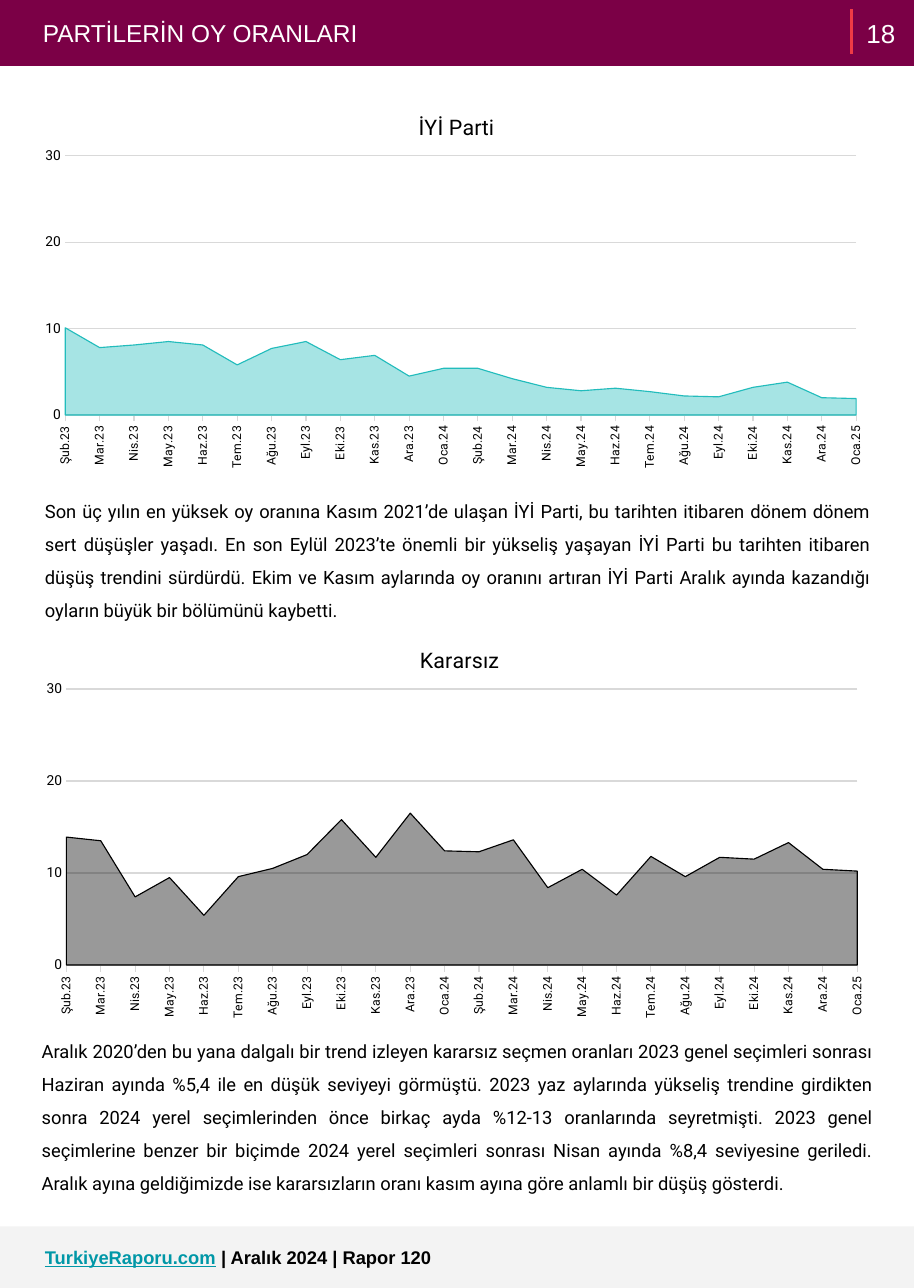
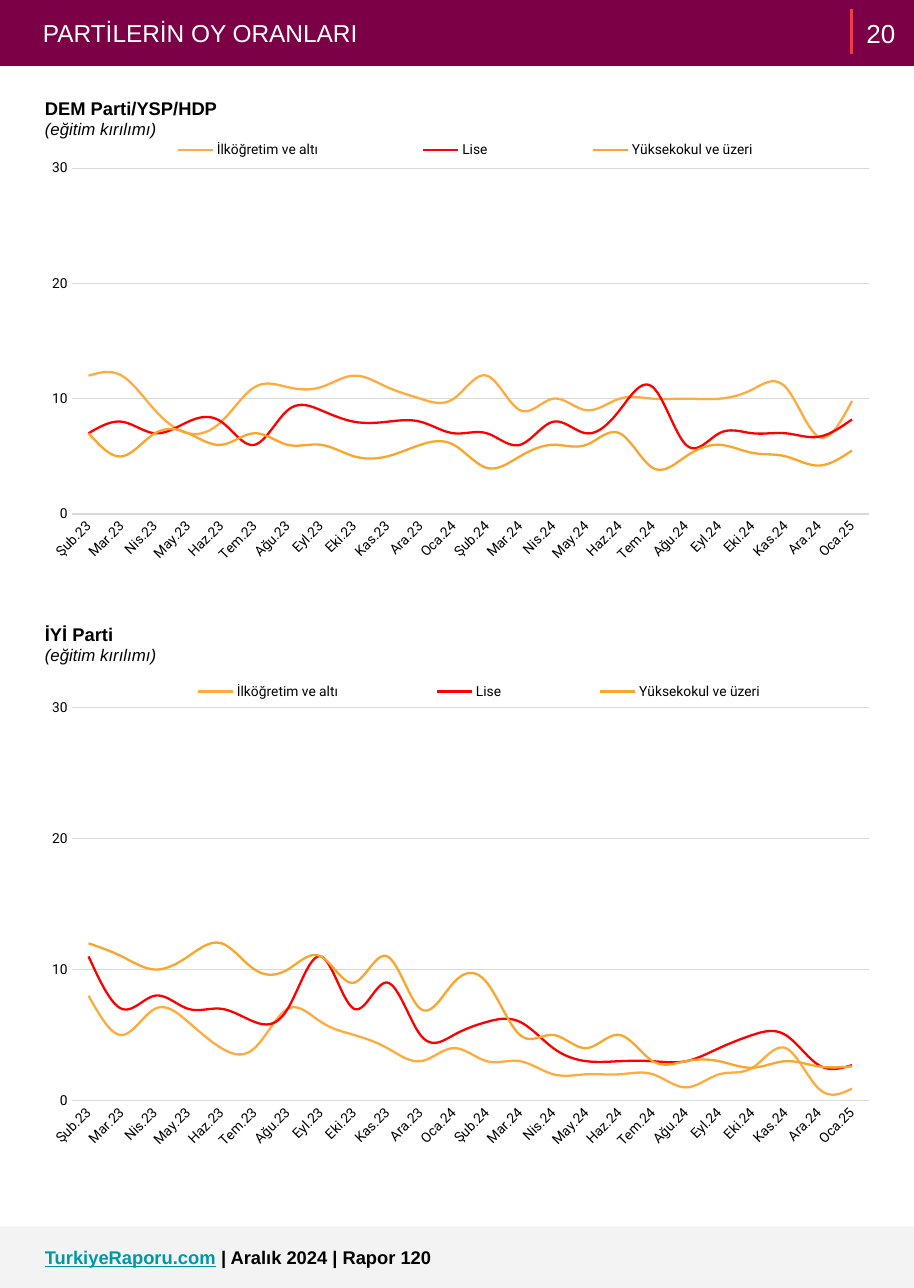
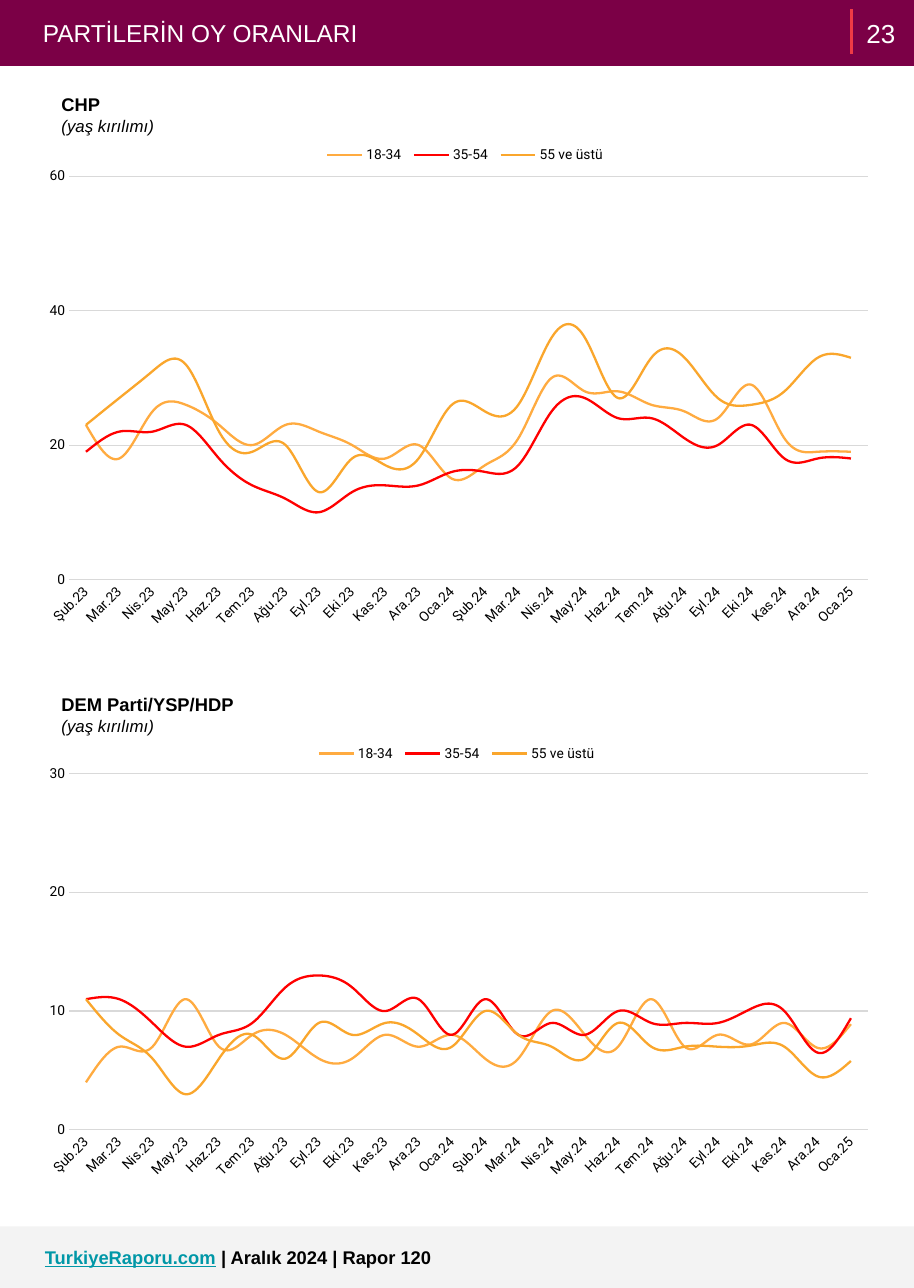
"""Build three report pages of party vote shares with area and line charts."""
from dataclasses import dataclass

import pptx
import pptx.chart.data
import pptx.dml.color
import pptx.enum.chart
import pptx.enum.shapes
import pptx.enum.text
import pptx.oxml
import pptx.oxml.ns
import pptx.util

Inches = pptx.util.Inches
Align = pptx.enum.text.PP_ALIGN
Anchor = pptx.enum.text.MSO_ANCHOR
ChartType = pptx.enum.chart.XL_CHART_TYPE
qn = pptx.oxml.ns.qn

PAGE_WIDTH, PAGE_HEIGHT = 8.3, 11.7
MONTHS = "Oca Şub Mar Nis May Haz Tem Ağu Eyl Eki Kas Ara".split()
CATEGORIES = [f"{MONTHS[month % 12]}.{23 + month // 12}" for month in range(1, 25)]
EDUCATION = ("İlköğretim ve altı", "Lise", "Yüksekokul ve üzeri")
AGES = ("18-34", "35-54", "55 ve üstü")


@dataclass(frozen=True)
class Theme:
    band: str = "7B0046"
    footer: str = "F3F3F3"
    accent: str = "EF3B45"
    link: str = "0097A7"
    text: str = "000000"
    light: str = "FFFFFF"
    grid: str = "D9D9D9"
    teal: str = "22BCBC"
    lines: tuple = ("FFAB40", "FF0000", "FAA62C")
    heading_font: str = "Arial"
    body_font: str = "Roboto"
    title_size: int = 16
    number_size: int = 17
    body_size: int = 12
    note_size: int = 11
    chart_title_size: int = 14
    chart_size: int = 10
    label_size: int = 9
    small_label_size: int = 8
    hairline: float = 0.75
    series_line: float = 1.5
    divider: float = 2.25


THEME = Theme()


def rgb(color):
    return pptx.dml.color.RGBColor.from_string(color)


def format_font(font, size=THEME.body_size, color=THEME.text, name=THEME.heading_font,
                bold=False, italic=False, underline=False):
    font.size = pptx.util.Pt(size)
    font.color.rgb = rgb(color)
    font.name = name
    font.bold, font.italic, font.underline = bold, italic, underline


def write(paragraph, text, **text_format):
    run = paragraph.add_run()
    run.text = text
    format_font(run.font, **text_format)


def format_line(line, color, width):
    line.color.rgb = rgb(color)
    line.width = pptx.util.Pt(width)


def set_layout(parent, after=None, inner=False, **fractions):
    """Give a chart part a manual layout in fractions of the chart."""
    for old_layout in parent.findall(qn("c:layout")):
        parent.remove(old_layout)
    values = {"layoutTarget": "inner"} if inner else {}
    values |= {"xMode": "edge", "yMode": "edge"} | fractions
    items = "".join(f'<c:{tag} val="{value}"/>' for tag, value in values.items())
    layout = pptx.oxml.parse_xml(
        f'<c:layout {pptx.oxml.ns.nsdecls("c")}><c:manualLayout>{items}'
        "</c:manualLayout></c:layout>")
    index = parent.index(parent.find(qn(after))) + 1 if after else 0
    parent.insert(index, layout)


class Report:
    """Holds the presentation, its theme and the current slide."""

    def __init__(self, theme):
        self.theme = theme
        self.presentation = pptx.Presentation()
        self.presentation.slide_width = Inches(PAGE_WIDTH)
        self.presentation.slide_height = Inches(PAGE_HEIGHT)
        self.slide = None

    def add_page(self, title, number):
        theme = self.theme
        self.slide = self.presentation.slides.add_slide(self.presentation.slide_layouts[5])
        self.add_band(11.14, PAGE_HEIGHT - 11.14, theme.footer)
        footer = self.add_text(0.31, 11.22, 6.96, 0.4).paragraphs[0]
        write(footer, "TurkiyeRaporu.com", color=theme.link, bold=True, underline=True)
        write(footer, " ", color=theme.accent, bold=True)
        write(footer, "| Aralık 2024 | Rapor 120", bold=True)
        self.add_band(0, 0.6, theme.band)
        self.add_divider(7.73, 0.08, 0.49)
        self.add_title(title)
        frame = self.add_text(7.73, 0, 0.54, 0.6)
        frame.vertical_anchor = Anchor.MIDDLE
        frame.paragraphs[0].alignment = Align.CENTER
        write(frame.paragraphs[0], str(number), size=theme.number_size, color=theme.light)

    def add_band(self, top, height, color):
        shape = self.slide.shapes.add_shape(
            pptx.enum.shapes.MSO_SHAPE.RECTANGLE,
            0, Inches(top), Inches(PAGE_WIDTH), Inches(height))
        shape.shadow.inherit = False
        shape.fill.solid()
        shape.fill.fore_color.rgb = rgb(color)
        shape.line.fill.background()

    def add_divider(self, left, top, bottom):
        connector = self.slide.shapes.add_connector(
            pptx.enum.shapes.MSO_CONNECTOR.STRAIGHT,
            Inches(left), Inches(top), Inches(left), Inches(bottom))
        format_line(connector.line, self.theme.accent, self.theme.divider)
        properties = connector.element.find(qn("p:spPr"))
        properties.append(pptx.oxml.parse_xml(
            f'<a:effectLst {pptx.oxml.ns.nsdecls("a")}/>'))

    def set_frame(self, frame):
        frame.word_wrap = True
        frame.auto_size = pptx.enum.text.MSO_AUTO_SIZE.NONE
        frame.vertical_anchor = Anchor.TOP
        frame.margin_left = frame.margin_right = Inches(0.1)
        frame.margin_top = frame.margin_bottom = Inches(0.1)
        return frame

    def add_title(self, text):
        title = self.slide.shapes.title
        title.left, title.top = Inches(0.29), Inches(0.06)
        title.width, title.height = Inches(6.45), Inches(0.47)
        title.element.getparent().append(title.element)
        paragraph = self.set_frame(title.text_frame).paragraphs[0]
        paragraph.alignment = Align.LEFT
        write(paragraph, text, size=self.theme.title_size, color=self.theme.light)

    def add_text(self, left, top, width, height):
        box = self.slide.shapes.add_textbox(
            Inches(left), Inches(top), Inches(width), Inches(height))
        return self.set_frame(box.text_frame)

    def add_body(self, left, top, width, height, text):
        paragraph = self.add_text(left, top, width, height).paragraphs[0]
        paragraph.alignment = Align.JUSTIFY
        paragraph.line_spacing = 1.5
        write(paragraph, text, name=self.theme.body_font)

    def add_heading(self, left, top, party, breakdown):
        frame = self.add_text(left, top, 1.97, 0.42)
        write(frame.paragraphs[0], party, bold=True)
        write(frame.add_paragraph(), breakdown, size=self.theme.note_size, italic=True)

    def add_chart(self, chart_type, box, plot, series, maximum, rotation, category_size):
        theme = self.theme
        data = pptx.chart.data.CategoryChartData()
        data.categories = CATEGORIES
        for name, values in series:
            data.add_series(name, values)
        chart = self.slide.shapes.add_chart(
            chart_type, *(Inches(length) for length in box), data).chart
        format_font(chart.font, size=theme.chart_size, name=theme.body_font)
        chart.has_title = chart.has_legend = False
        chart.plots[0].vary_by_categories = False

        tick = pptx.enum.chart.XL_TICK_MARK
        value_axis, category_axis = chart.value_axis, chart.category_axis
        value_axis.minimum_scale, value_axis.maximum_scale = 0, maximum
        value_axis.major_unit = maximum / 3
        value_axis.has_major_gridlines = True
        format_line(value_axis.major_gridlines.format.line, theme.grid, theme.hairline)
        value_axis.format.line.fill.background()
        format_line(category_axis.format.line, theme.grid, theme.hairline)
        is_area = chart_type == ChartType.AREA
        category_axis.major_tick_mark = tick.OUTSIDE if is_area else tick.NONE
        value_axis.major_tick_mark = tick.NONE
        for axis, size in ((value_axis, theme.label_size), (category_axis, category_size)):
            axis.minor_tick_mark = tick.NONE
            format_font(axis.tick_labels.font, size=size, name=theme.body_font)
        for body in chart.element.xpath(".//c:catAx/c:txPr/a:bodyPr"):
            body.set("rot", str(rotation * 60000))
            body.set("vert", "horz")
        for crossing in chart.element.xpath(".//c:valAx/c:crossBetween"):
            crossing.set("val", "midCat" if is_area else "between")
        set_layout(chart.element.xpath(".//c:plotArea")[0], inner=True,
                   **dict(zip("xywh", plot)))
        return chart

    def add_area_chart(self, box, plot, title, color, values):
        theme = self.theme
        chart = self.add_chart(ChartType.AREA, box, plot, [("Series 1", values)],
                               30, -90, theme.small_label_size)
        write(chart.chart_title.text_frame.paragraphs[0], title,
              size=theme.chart_title_size, name=theme.body_font)
        set_layout(chart.element.xpath(".//c:chart/c:title")[0], after="c:tx",
                   x=0.453, y=round(0.2 / box[3], 3))
        area = chart.plots[0].series[0]
        area.format.fill.solid()
        area.format.fill.fore_color.rgb = rgb(color)
        format_line(area.format.line, color, theme.hairline)
        fill_color = chart.element.xpath(".//c:ser/c:spPr/a:solidFill/a:srgbClr")[0]
        fill_color.append(pptx.oxml.parse_xml(
            f'<a:alpha {pptx.oxml.ns.nsdecls("a")} val="40000"/>'))

    def add_line_chart(self, box, plot, legend, names, rows, maximum=30):
        theme = self.theme
        chart = self.add_chart(ChartType.LINE, box, plot, zip(names, rows),
                               maximum, -45, theme.label_size)
        for series, color in zip(chart.plots[0].series, theme.lines):
            series.smooth = True
            format_line(series.format.line, color, theme.series_line)
        chart.has_legend = True
        chart.legend.position = pptx.enum.chart.XL_LEGEND_POSITION.BOTTOM
        chart.legend.include_in_layout = False
        format_font(chart.legend.font, size=theme.label_size, name=theme.body_font)
        left, top, width, height = box
        legend_left, legend_top, legend_width = legend
        set_layout(chart.element.xpath(".//c:legend")[0], after="c:legendPos",
                   x=round((legend_left - left) / width, 3),
                   y=round((legend_top - top) / height, 3),
                   w=round(legend_width / width, 3), h=round(0.25 / height, 3))


def main():
    report = Report(THEME)
    title = "PARTİLERİN OY ORANLARI"

    report.add_page(title, 18)
    report.add_body(
        0.31, 4.34, 7.7, 0.71,
        "Son üç yılın en yüksek oy oranına Kasım 2021’de ulaşan İYİ Parti, bu tarihten "
        "itibaren dönem dönem sert düşüşler yaşadı. En son Eylül 2023’te önemli bir "
        "yükseliş yaşayan İYİ Parti bu tarihten itibaren düşüş trendini sürdürdü. Ekim ve "
        "Kasım aylarında oy oranını artıran İYİ Parti Aralık ayında kazandığı oyların "
        "büyük bir bölümünü kaybetti.")
    report.add_body(
        0.28, 9.25, 7.75, 1.21,
        "Aralık 2020’den bu yana dalgalı bir trend izleyen kararsız seçmen oranları 2023 "
        "genel seçimleri sonrası Haziran ayında %5,4 ile en düşük seviyeyi görmüştü. 2023 "
        "yaz aylarında yükseliş trendine girdikten sonra 2024 yerel seçimlerinden önce "
        "birkaç ayda %12-13 oranlarında seyretmişti. 2023 genel seçimlerine benzer bir "
        "biçimde 2024 yerel seçimleri sonrası Nisan ayında %8,4 seviyesine geriledi. "
        "Aralık ayına geldiğimizde ise kararsızların oranı kasım ayına göre anlamlı bir "
        "düşüş gösterdi.")
    report.add_area_chart(
        (0.26, 0.79, 7.74, 3.54), (0.043, 0.177, 0.928, 0.665), "İYİ Parti", THEME.teal,
        (10.1, 7.8, 8.1, 8.5, 8.1, 5.8, 7.7, 8.5, 6.4, 6.9, 4.5, 5.4,
         5.4, 4.2, 3.2, 2.8, 3.1, 2.7, 2.2, 2.1, 3.2, 3.8, 2, 1.9))
    report.add_area_chart(
        (0.27, 5.63, 7.74, 3.7), (0.043, 0.17, 0.928, 0.678), "Kararsız", THEME.text,
        (13.9, 13.5, 7.4, 9.5, 5.4, 9.6, 10.5, 12, 15.8, 11.7, 16.5, 12.4,
         12.3, 13.6, 8.4, 10.4, 7.6, 11.8, 9.6, 11.7, 11.5, 13.3, 10.4, 10.2))

    report.add_page(title, 20)
    report.add_heading(0.31, 0.78, "DEM Parti/YSP/HDP", "(eğitim kırılımı)")
    report.add_heading(0.31, 5.56, "İYİ Parti", "(eğitim kırılımı)")
    report.add_line_chart(
        (0.29, 1.19, 7.73, 4.45), (0.047, 0.076, 0.936, 0.706), (0.7, 1.24, 7.05), EDUCATION,
        ((12, 12, 9, 7, 8, 11, 11, 11, 12, 11, 10, 10,
          12, 9, 10, 9, 10, 10, 10, 10, 10.8, 11, 6.7, 9.8),
         (7, 8, 7, 8, 8, 6, 9, 9, 8, 8, 8, 7, 7, 6, 8, 7, 9, 11, 6, 7, 7, 7, 6.7, 8.2),
         (7, 5, 7, 7, 6, 7, 6, 6, 5, 5, 6, 6, 4, 5, 6, 6, 7, 4, 5, 6, 5.3, 5, 4.2, 5.5)))
    report.add_line_chart(
        (0.29, 6.01, 7.73, 5.1), (0.047, 0.082, 0.936, 0.7), (0.94, 6.16, 6.82), EDUCATION,
        ((8, 5, 7, 6, 4, 4, 7, 6, 5, 4, 3, 4, 3, 3, 2, 2, 2, 2, 1, 2, 2.5, 4, 0.9, 0.9),
         (11, 7, 8, 7, 7, 6, 7, 11, 7, 9, 5, 5, 6, 6, 4, 3, 3, 3, 3, 4, 5, 5, 2.7, 2.7),
         (12, 11, 10, 11, 12, 10, 10, 11, 9, 11, 7, 9,
          9, 5, 5, 4, 5, 3, 3, 3, 2.5, 3, 2.6, 2.6)))

    report.add_page(title, 23)
    report.add_heading(0.46, 0.75, "CHP", "(yaş kırılımı)")
    report.add_heading(0.46, 6.2, "DEM Parti/YSP/HDP", "(yaş kırılımı)")
    report.add_line_chart(
        (0.29, 1.17, 7.72, 5.03), (0.044, 0.086, 0.939, 0.728), (2.9, 1.28, 2.65), AGES,
        ((23, 18, 25, 26, 23, 20, 23, 22, 20, 18, 20, 15,
          17, 21, 30, 28, 28, 26, 25, 24, 29, 21, 19, 19),
         (19, 22, 22, 23, 18, 14, 12, 10, 13, 14, 14, 16,
          16, 17, 25, 27, 24, 24, 21, 20, 23, 18, 18, 18),
         (23, 27, 31, 32, 22, 19, 20, 13, 18, 17, 18, 26,
          25, 26, 36, 36, 27, 33, 33, 27, 26, 28, 33, 33)), maximum=60)
    report.add_line_chart(
        (0.29, 6.63, 7.72, 4.51), (0.044, 0.088, 0.939, 0.718), (2.82, 6.72, 2.65), AGES,
        ((4, 7, 7, 11, 7, 8, 8, 6, 6, 8, 7, 8, 6, 6, 10, 8, 7, 11, 7, 8, 7.2, 9, 6.9, 8.9),
         (11, 11, 9, 7, 8, 9, 12, 13, 12, 10, 11, 8,
          11, 8, 9, 8, 10, 9, 9, 9, 10.2, 10, 6.5, 9.4),
         (11, 8, 6, 3, 6, 8, 6, 9, 8, 9, 8, 7, 10, 8, 7, 6, 9, 7, 7, 7, 7.1, 7, 4.5, 5.8)))

    report.presentation.save("out.pptx")


if __name__ == "__main__":
    main()
